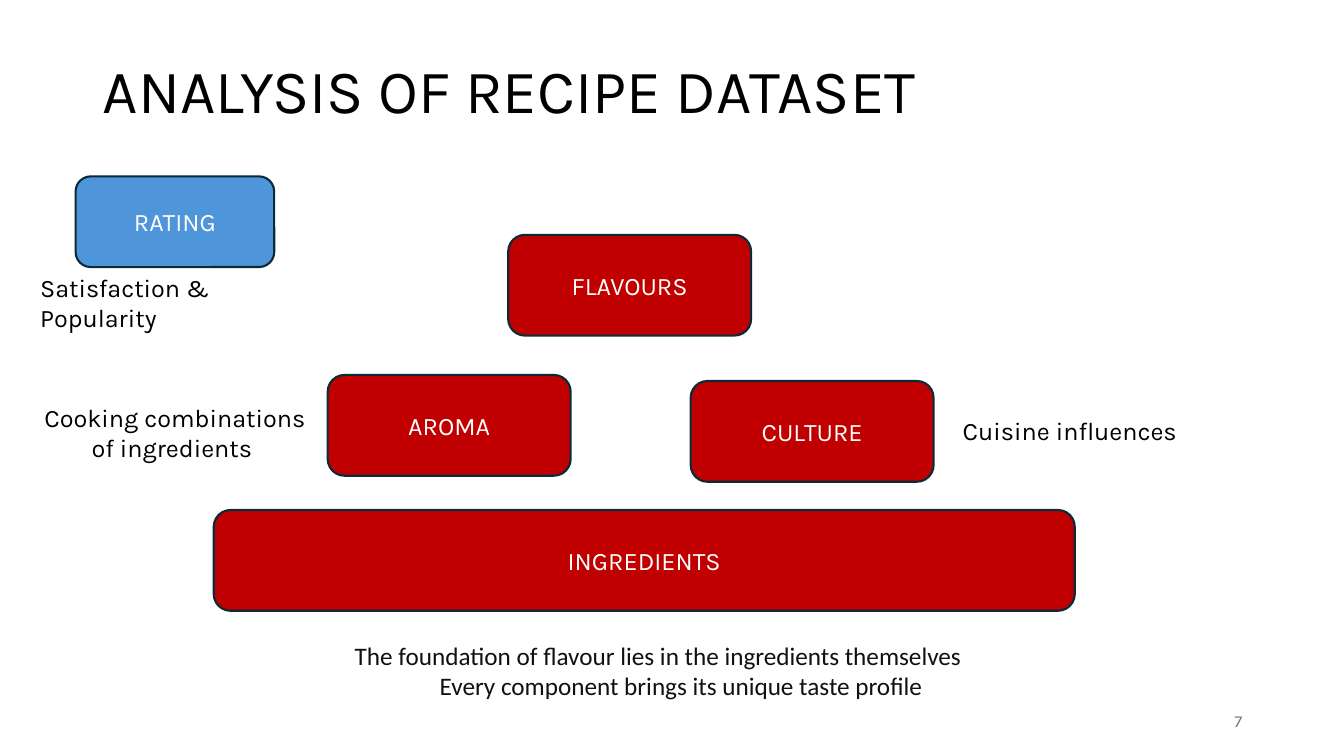
from dataclasses import dataclass

from pptx import Presentation
from pptx.dml.color import RGBColor
from pptx.enum.shapes import MSO_SHAPE as Shape
from pptx.enum.text import MSO_ANCHOR as Anchor, PP_ALIGN as Align
from pptx.slide import Slide
from pptx.text.text import TextFrame
from pptx.util import Inches, Pt

COLORS = {
    "black": "000000",
    "ink": "111111",
    "gray": "797979",
    "white": "FFFFFF",
    "red": "C00000",
    "blue": "4E95D9",
    "outline": "092A39",
}


@dataclass
class Block:
    text: str
    left: float
    top: float
    width: float = 2.41
    height: float = 1.0
    fill: str = "red"


@dataclass
class Label:
    lines: list[tuple[str, Align]]
    left: float
    top: float
    width: float
    height: float = 0.4
    size: int = 18
    font: str = "Karla"
    color: str = "black"
    anchor: Anchor = Anchor.TOP
    spacing: float = 1.0


BLOCKS = [
    Block("FLAVOURS", 5.04, 2.33),
    Block("INGREDIENTS", 2.12, 5.06, width=8.54),
    Block("CULTURE", 6.85, 3.78),
    Block("AROMA", 3.25, 3.72),
    Block("RATING", 0.75, 1.75, width=1.97, height=0.9, fill="blue"),
]

LABELS = [
    # Title and page number
    Label([("ANALYSIS OF RECIPE DATASET", Align.LEFT)], 0.92, 0.4, 11.5, 1.06,
          size=44, anchor=Anchor.MIDDLE, spacing=0.9),
    Label([("7", Align.RIGHT)], 9.42, 6.95, 3, size=12, color="gray",
          anchor=Anchor.MIDDLE),
    # Explanations beside the blocks
    Label([("The foundation of flavour lies in the ingredients themselves", Align.LEFT),
           ("Every component brings its unique taste profile", Align.CENTER)],
          3.42, 6.3, 6.67, 0.71, font="Calibri", color="ink"),
    Label([("Cuisine influences", Align.LEFT)], 9.45, 4.07, 2.41),
    Label([("Cooking combinations of ingredients ", Align.CENTER)],
          0.22, 3.94, 3.03, 0.71),
    Label([("Satisfaction & Popularity", Align.LEFT)], 0.3, 2.65, 2.95),
]


def rgb(name: str) -> RGBColor:
    return RGBColor.from_string(COLORS[name])


def write(tf: TextFrame, text: str, *, first: bool = True, align: Align = Align.CENTER,
          size: int = 18, font: str = "Karla", color: str = "white",
          spacing: float = 1.0) -> None:
    p = tf.paragraphs[0] if first else tf.add_paragraph()
    p.alignment = align
    p.line_spacing = spacing
    r = p.add_run()
    r.text = text
    r.font.size = Pt(size)
    r.font.name = font
    r.font.color.rgb = rgb(color)


def draw_block(s: Slide, block: Block) -> None:
    sp = s.shapes.add_shape(Shape.ROUNDED_RECTANGLE, Inches(block.left), Inches(block.top),
                            Inches(block.width), Inches(block.height))
    sp.shadow.inherit = False
    sp.fill.solid()
    sp.fill.fore_color.rgb = rgb(block.fill)
    sp.line.color.rgb = rgb("outline")
    sp.line.width = Pt(1.5)
    tf = sp.text_frame
    tf.word_wrap = True
    tf.vertical_anchor = Anchor.MIDDLE
    write(tf, block.text)


def draw_label(s: Slide, label: Label) -> None:
    sp = s.shapes.add_textbox(Inches(label.left), Inches(label.top),
                              Inches(label.width), Inches(label.height))
    tf = sp.text_frame
    tf.word_wrap = True
    tf.vertical_anchor = label.anchor
    for i, (text, align) in enumerate(label.lines):
        write(tf, text, first=i == 0, align=align, size=label.size, font=label.font,
              color=label.color, spacing=label.spacing)


def main() -> None:
    prs = Presentation()
    prs.slide_width, prs.slide_height = Inches(13.33), Inches(7.5)
    s = prs.slides.add_slide(prs.slide_layouts[6])
    for block in BLOCKS:
        draw_block(s, block)
    for label in LABELS:
        draw_label(s, label)
    prs.save("out.pptx")


if __name__ == "__main__":
    main()
